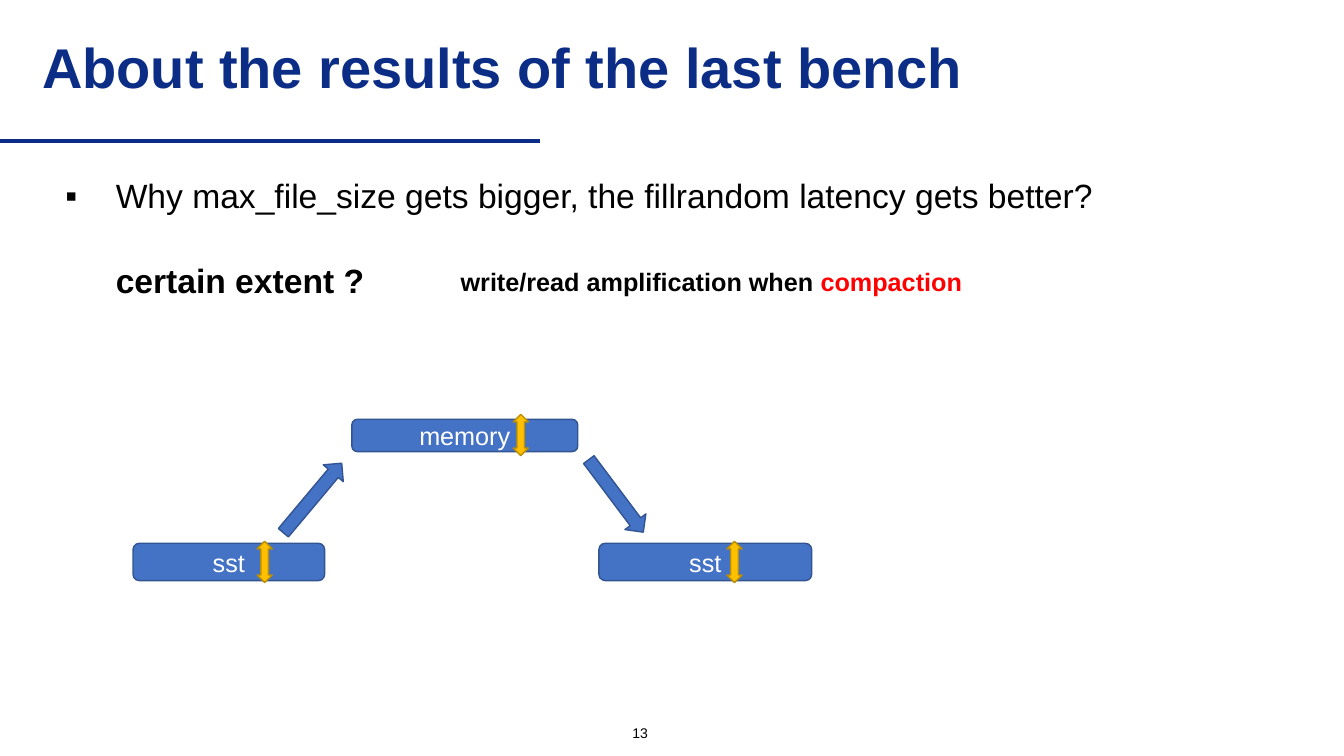
from dataclasses import dataclass
from lxml import etree
from pptx import Presentation
from pptx import util as u
from pptx.dml.color import RGBColor
from pptx.enum import shapes, text
from pptx.oxml import ns

PX = 9144


@dataclass(frozen=True)
class Theme:
    font: str = "Arial"
    navy: str = "0B2D86"
    black: str = "000000"
    white: str = "FFFFFF"
    red: str = "FF0000"
    blue: str = "4472C4"
    edge: str = "325491"
    gold: str = "FFC000"
    rim: str = "BD8E00"
    head: int = 40
    body: int = 24
    label: int = 18
    foot: int = 10


T = Theme()
MID = text.MSO_ANCHOR.MIDDLE
CENTER = text.PP_ALIGN.CENTER
KIND = shapes.MSO_SHAPE


def px(*nums):
    return [u.Emu(n * PX) for n in nums]


def rgb(code):
    return RGBColor.from_string(code)


def add_run(para, words, size, color, bold=False):
    run = para.add_run()
    run.text = words
    font = run.font
    font.name, font.size, font.bold = T.font, u.Pt(size), bold
    font.color.rgb = rgb(color)


def add_text(slide, box, runs, size, bold=False, anchor=text.MSO_ANCHOR.TOP):
    frame = slide.shapes.add_textbox(*px(*box)).text_frame
    frame.word_wrap = True
    frame.vertical_anchor = anchor
    para = frame.paragraphs[0]
    for words, color in runs:
        add_run(para, words, size, color, bold)
    return para


def add_form(slide, kind, box, fill, edge, turn=0, label=None):
    form = slide.shapes.add_shape(kind, *px(*box))
    form.shadow.inherit = False
    form.fill.solid()
    form.fill.fore_color.rgb = rgb(fill)
    form.line.color.rgb = rgb(edge)
    form.line.width = u.Pt(1)
    form.rotation = turn
    if label:
        frame = form.text_frame
        frame.vertical_anchor = MID
        para = frame.paragraphs[0]
        para.alignment = CENTER
        add_run(para, label, T.label, T.white)


def add_header(slide, box):
    x, y, w, h = box
    rule = slide.shapes.add_connector(
        shapes.MSO_CONNECTOR.STRAIGHT, *px(x, y + h, x + 536, y + h))
    rule.line.color.rgb = rgb(T.navy)
    rule.line.width = u.Pt(3)
    etree.SubElement(rule._element.spPr, ns.qn("a:effectLst"))
    para = add_text(slide, (x + 32, y + 24, 971, 91),
                    [("About the results of the last bench", T.navy)],
                    T.head, True, MID)
    para.line_spacing = 0.9


def add_body(slide, box):
    x, y, w, h = box
    para = add_text(slide, (x, y, w, 55), [
        ("Why max_file_size gets bigger, the fillrandom latency gets better?",
         T.black)], T.body)
    para.line_spacing = 1.1
    props = para._p.get_or_add_pPr()
    props.set("marL", str(50 * PX))
    props.set("indent", str(-50 * PX))
    etree.SubElement(props, ns.qn("a:buFont"), typeface=T.font)
    etree.SubElement(props, ns.qn("a:buChar"), char="▪")
    add_text(slide, (x + 50, y + 88, 285, 50),
             [("certain extent ?", T.black)], T.body, True)
    add_text(slide, (x + 392, y + 94, 579, 40),
             [("write/read amplification when ", T.black),
              ("compaction", T.red)], T.label, True)


def add_flow(slide, box):
    x, y, w, h = box
    stores = [("sst", 0, 123, 190, 37, 123), ("memory", 217, 0, 224, 32, 160),
              ("sst", 462, 123, 211, 37, 127)]
    arrows = [(133, 65, 310), (434, 63, 53.1)]
    for name, dx, dy, wide, high, gap in stores:
        add_form(slide, KIND.ROUNDED_RECTANGLE, (x + dx, y + dy, wide, high),
                 T.blue, T.edge, label=name)
    for dx, dy, turn in arrows:
        add_form(slide, KIND.RIGHT_ARROW, (x + dx, y + dy, 90, 26),
                 T.blue, T.edge, turn)
    for name, dx, dy, wide, high, gap in stores:
        mark = (x + dx + gap, y + dy + (high - 41) // 2, 15, 41)
        add_form(slide, KIND.UP_DOWN_ARROW, mark, T.gold, T.rim)


def add_footer(slide, box):
    para = add_text(slide, box, [("13", T.black)], T.foot, anchor=MID)
    para.alignment = CENTER


def main():
    deck = Presentation()
    deck.slide_width, deck.slide_height = px(1333, 750)
    slide = deck.slides.add_slide(deck.slide_layouts[6])
    add_header(slide, (0, 0, 1333, 140))
    add_body(slide, (55, 165, 1214, 138))
    add_flow(slide, (132, 416, 673, 160))
    add_footer(slide, (485, 711, 300, 32))
    deck.save("out.pptx")


if __name__ == "__main__":
    main()
